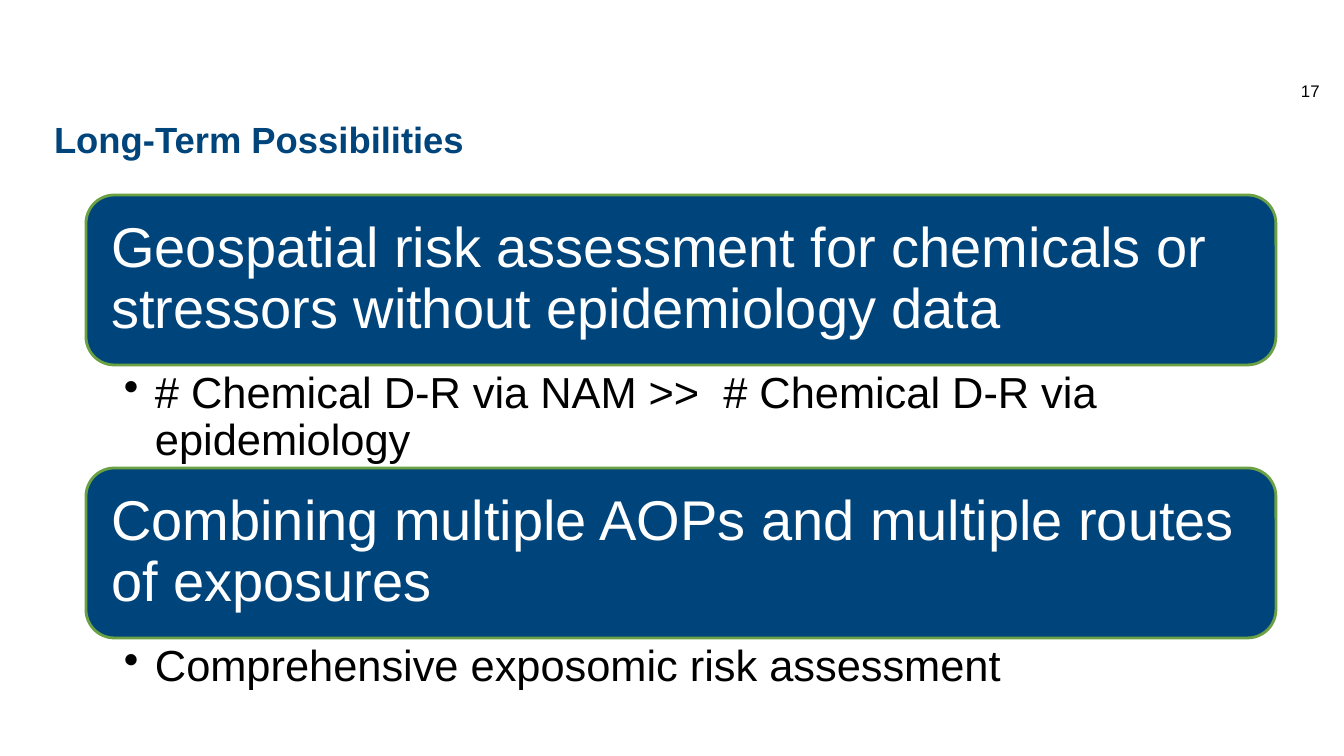
import lxml.etree
import pptx
import pptx.dml.color
import pptx.enum.shapes
import pptx.enum.text
import pptx.oxml.ns
import pptx.util

EMU_PER_PX = 914400 / 100.8
NAVY, GREEN, WHITE, BLACK = "00447C", "6BA143", "FFFFFF", "000000"
ROW_LEFT, ROW_TOP, ROW_WIDTH, ROW_PITCH = 86, 195, 1190, 273
HEADING_HEIGHT = 170
HANGING = 31

TOPICS = [
    ("Geospatial risk assessment for chemicals or stressors without epidemiology data",
     "# Chemical D-R via NAM >>  # Chemical D-R via epidemiology", 103),
    ("Combining multiple AOPs and multiple routes of exposures",
     "Comprehensive exposomic risk assessment", 73),
]


def px(length):
    return pptx.util.Emu(round(length * EMU_PER_PX))


def color(code):
    return pptx.dml.color.RGBColor.from_string(code)


def write(shape, text, size, ink, insets, bold=False, wrap=True):
    """Fill a shape with one left-aligned paragraph; insets are left, top, right, bottom."""
    frame = shape.text_frame
    frame.word_wrap = wrap
    (frame.margin_left, frame.margin_top,
     frame.margin_right, frame.margin_bottom) = map(px, insets)
    para = frame.paragraphs[0]
    para.text = text
    para.alignment = pptx.enum.text.PP_ALIGN.LEFT
    para.font.name = "Arial"
    para.font.size = pptx.util.Pt(size)
    para.font.bold = bold
    para.font.color.rgb = color(ink)
    return para


def add_text(page, bounds, *args, **kwargs):
    box = page.shapes.add_textbox(*map(px, bounds))
    return write(box, *args, **kwargs)


def add_heading(page, top, text):
    box = page.shapes.add_shape(
        pptx.enum.shapes.MSO_SHAPE.ROUNDED_RECTANGLE,
        *map(px, (ROW_LEFT, top, ROW_WIDTH, HEADING_HEIGHT)))
    box.shadow.inherit = False
    box.fill.solid()
    box.fill.fore_color.rgb = color(NAVY)
    box.line.color.rgb = color(GREEN)
    box.line.width = pptx.util.Pt(2)
    box.text_frame.vertical_anchor = pptx.enum.text.MSO_ANCHOR.MIDDLE
    para = write(box, text, 40, WHITE, (17, 17, 17, 17))
    para.line_spacing = 0.9


def add_bullet(page, top, height, text):
    para = add_text(page, (ROW_LEFT, top, ROW_WIDTH, height),
                    text, 31, BLACK, (38, 6, 31, 6))
    properties = para._p.get_or_add_pPr()
    properties.set("marL", str(px(HANGING)))
    properties.set("indent", str(px(-HANGING)))
    bullet = lxml.etree.Element(pptx.oxml.ns.qn("a:buChar"), char="•")
    properties.insert(0, bullet)
    para.line_spacing = 0.9


def main():
    deck = pptx.Presentation()
    deck.slide_width, deck.slide_height = px(1344), px(756)
    page = deck.slides.add_slide(deck.slide_layouts[6])

    add_text(page, (44, 109, 1256, 81), "Long-Term Possibilities",
             26, NAVY, (10, 8, 10, 5), bold=True)
    for row, (heading, detail, detail_height) in enumerate(TOPICS):
        top = ROW_TOP + row * ROW_PITCH
        add_heading(page, top, heading)
        add_bullet(page, top + HEADING_HEIGHT, detail_height, detail)
    add_text(page, (1291, 76, 40, 30), "17", 12, BLACK, (10, 5, 10, 5), wrap=False)

    deck.save("out.pptx")


if __name__ == "__main__":
    main()
